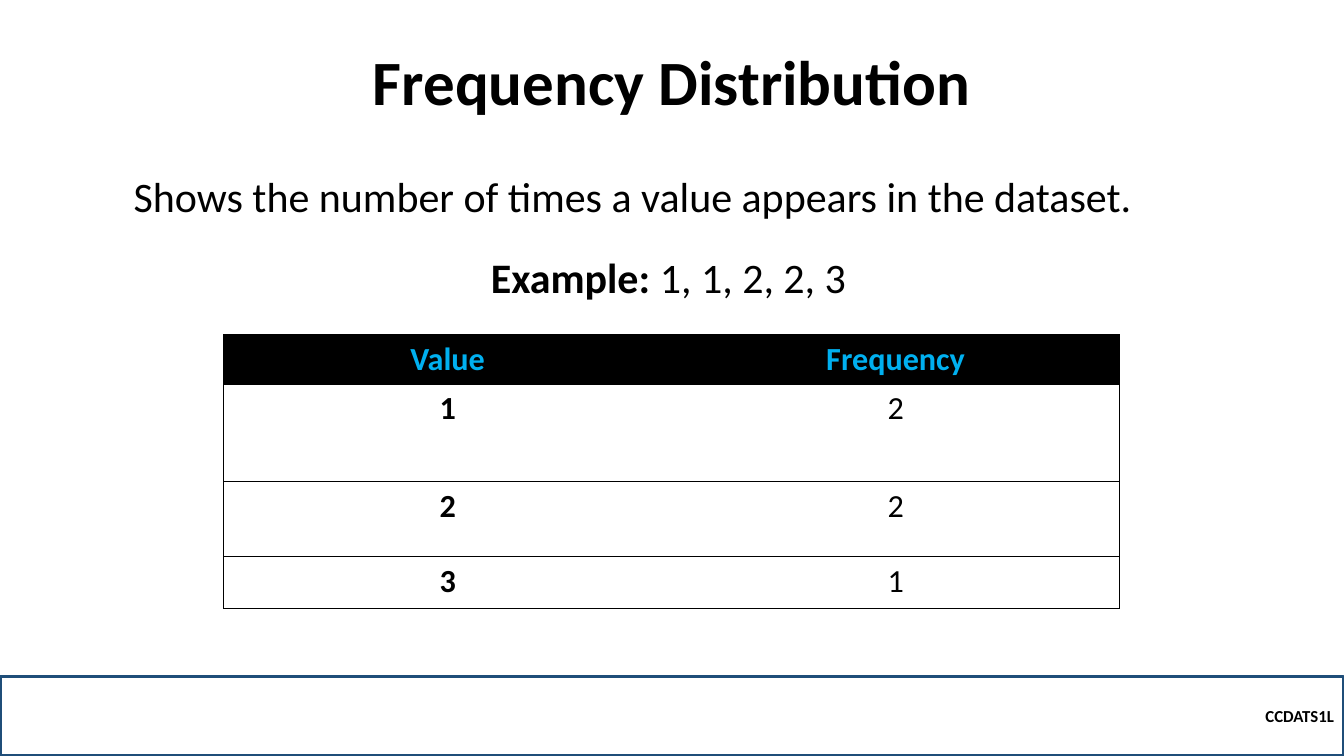
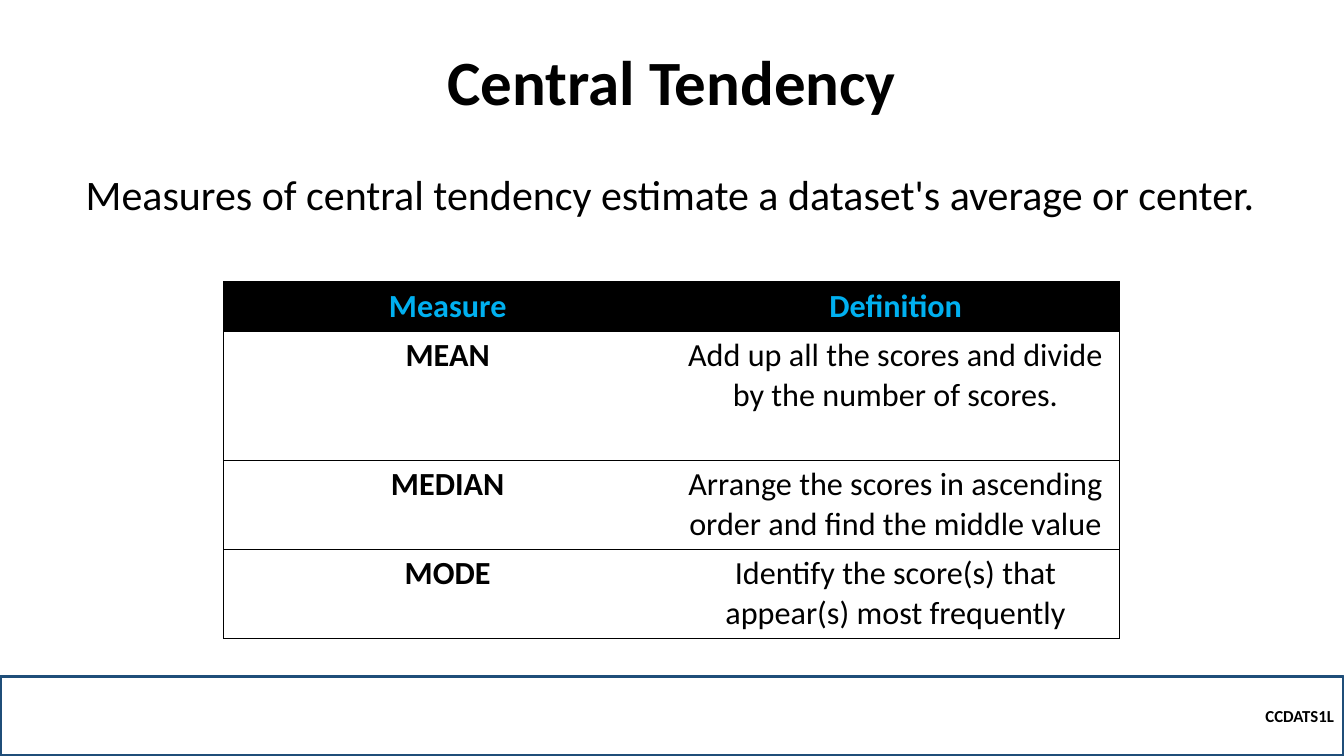
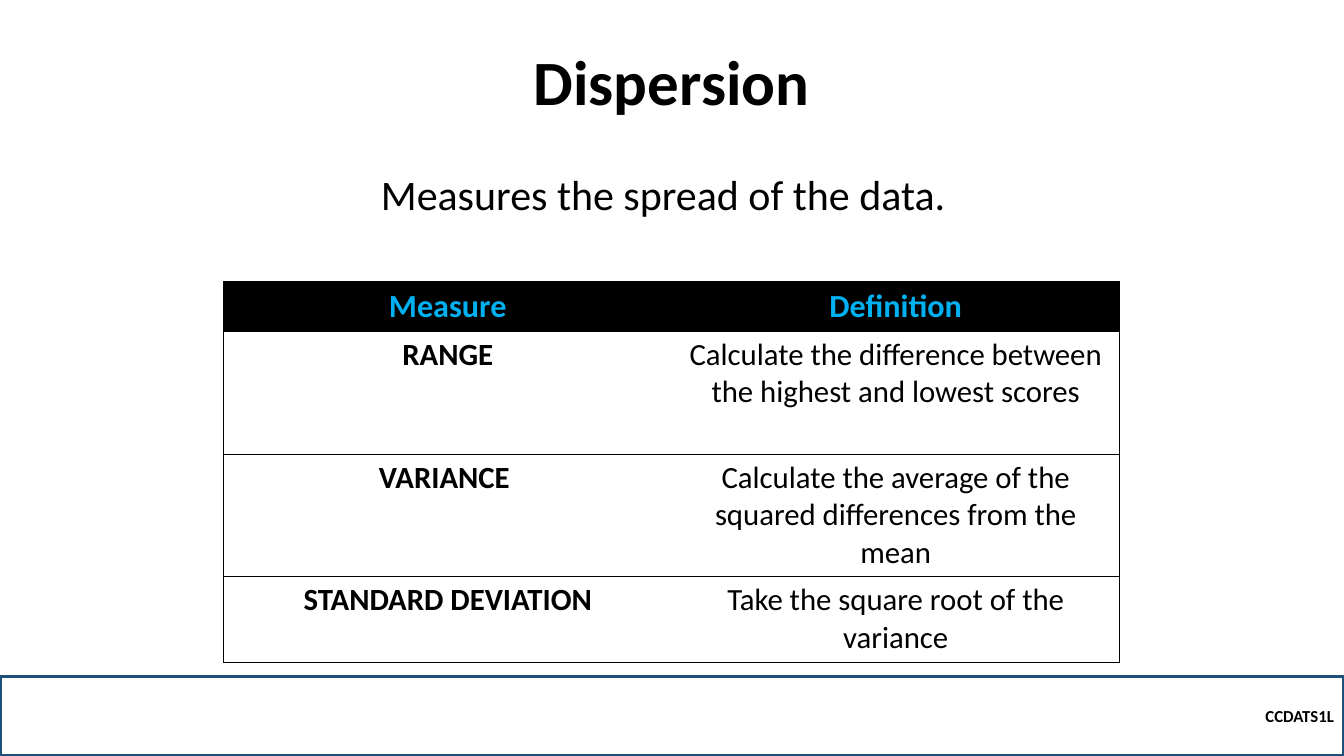
"""Build three slides on descriptive statistics."""
import pptx
import pptx.util
import pptx.dml.color
import pptx.enum.shapes
import pptx.enum.text
import pptx.oxml
import pptx.oxml.ns

Cm = pptx.util.Cm
Pt = pptx.util.Pt
Align = pptx.enum.text.PP_ALIGN
Anchor = pptx.enum.text.MSO_ANCHOR
RGBColor = pptx.dml.color.RGBColor

BLACK = RGBColor(0x00, 0x00, 0x00)
SKY = RGBColor(0x00, 0xB0, 0xF0)
NAVY = RGBColor(0x1F, 0x4E, 0x79)
FONT = "Calibri"
WIDE, HIGH = 33.87, 19.05
BAND = 2.0


class Deck:
    """Hold the shared style and the current slide."""

    def __init__(self):
        self.prs = pptx.Presentation()
        self.prs.slide_width = Cm(WIDE)
        self.prs.slide_height = Cm(HIGH)
        self.slide = None

    def start(self, title):
        self.slide = self.prs.slides.add_slide(self.prs.slide_layouts[5])
        head = self.slide.shapes.title
        head.left, head.top = Cm(3.12), Cm(1.14)
        head.width, head.height = Cm(27.61), Cm(2)
        head.text_frame.vertical_anchor = Anchor.BOTTOM
        self.put(head.text_frame, [(title, True)], 45, Align.CENTER)
        head.text_frame.paragraphs[0].line_spacing = 0.9
        self.footer()

    def put(self, frame, runs, size, align, color=BLACK):
        frame.word_wrap = True
        para = frame.paragraphs[0]
        para.alignment = align
        for text, bold in runs:
            run = para.add_run()
            run.text = text
            run.font.name = FONT
            run.font.size = Pt(size)
            run.font.bold = bold
            run.font.color.rgb = color

    def footer(self):
        band = self.slide.shapes.add_shape(
            pptx.enum.shapes.MSO_SHAPE.RECTANGLE,
            Cm(0), Cm(HIGH - BAND), Cm(WIDE), Cm(BAND))
        band.shadow.inherit = False
        band.fill.background()
        band.line.color.rgb = NAVY
        band.line.width = Pt(2.25)
        band.text_frame.vertical_anchor = Anchor.MIDDLE
        self.put(band.text_frame, [("CCDATS1L", True)], 12, Align.RIGHT)

    def text(self, left, top, width, *runs):
        box = self.slide.shapes.add_textbox(
            Cm(left), Cm(top), Cm(width), Cm(1.54))
        self.put(box.text_frame, runs, 30, Align.LEFT)

    def border(self, cell, sides):
        props = cell._tc.get_or_add_tcPr()
        for side in "LRTB":
            paint = "<a:noFill/>"
            if side in sides:
                paint = (f'<a:solidFill><a:srgbClr val="{BLACK}"/>'
                         '</a:solidFill>')
            props.append(pptx.oxml.parse_xml(
                f'<a:ln{side} {pptx.oxml.ns.nsdecls("a")} '
                f'w="{Pt(0.5)}">{paint}</a:ln{side}>'))

    def table(self, top, heights, rows, size=23):
        grid = self.slide.shapes.add_table(
            len(rows), 2, Cm(5.64), Cm(top),
            Cm(22.58), Cm(sum(heights))).table
        for r, (row, height) in enumerate(zip(rows, heights)):
            grid.rows[r].height = Cm(height)
            for c, word in enumerate(row):
                cell = grid.cell(r, c)
                self.border(cell, "TB" + "LR"[c])
                if r == 0:
                    cell.fill.solid()
                    cell.fill.fore_color.rgb = BLACK
                else:
                    cell.fill.background()
                self.put(cell.text_frame, [(word, r == 0 or c == 0)],
                         size if r else 23, Align.CENTER,
                         BLACK if r else SKY)


def main():
    deck = Deck()

    deck.start("Frequency Distribution")
    deck.table(8.43, [1.24, 2.46, 1.88, 1.3], [
        ("Value", "Frequency"), ("1", "2"), ("2", "2"), ("3", "1")])
    deck.text(3.12, 4.17, 27.61, (
        "Shows the number of times a value appears in the dataset.", False))
    deck.text(12.12, 6.22, 9.65,
              ("Example: ", True), ("1, 1, 2, 2, 3", False))

    deck.start("Central Tendency")
    deck.table(7.09, [1.24, 3.25, 2.24, 2.24], [
        ("Measure", "Definition"),
        ("MEAN", "Add up all the scores and divide by the number of scores."),
        ("MEDIAN",
         "Arrange the scores in ascending order and find the middle value"),
        ("MODE", "Identify the score(s) that appear(s) most frequently")])
    deck.text(1.91, 4.11, 30.05, (
        "Measures of central tendency estimate a dataset's average or center.",
        False))

    deck.start("Dispersion")
    deck.table(7.09, [1.24, 3.1, 3.07, 2.15], [
        ("Measure", "Definition"),
        ("RANGE",
         "Calculate the difference between the highest and lowest scores"),
        ("VARIANCE ",
         "Calculate the average of the squared differences from the mean"),
        ("STANDARD DEVIATION", "Take the square root of the variance")], 22)
    deck.text(9.35, 4.11, 15.16, ("Measures the spread of the data.", False))

    deck.prs.save("out.pptx")


if __name__ == "__main__":
    main()
